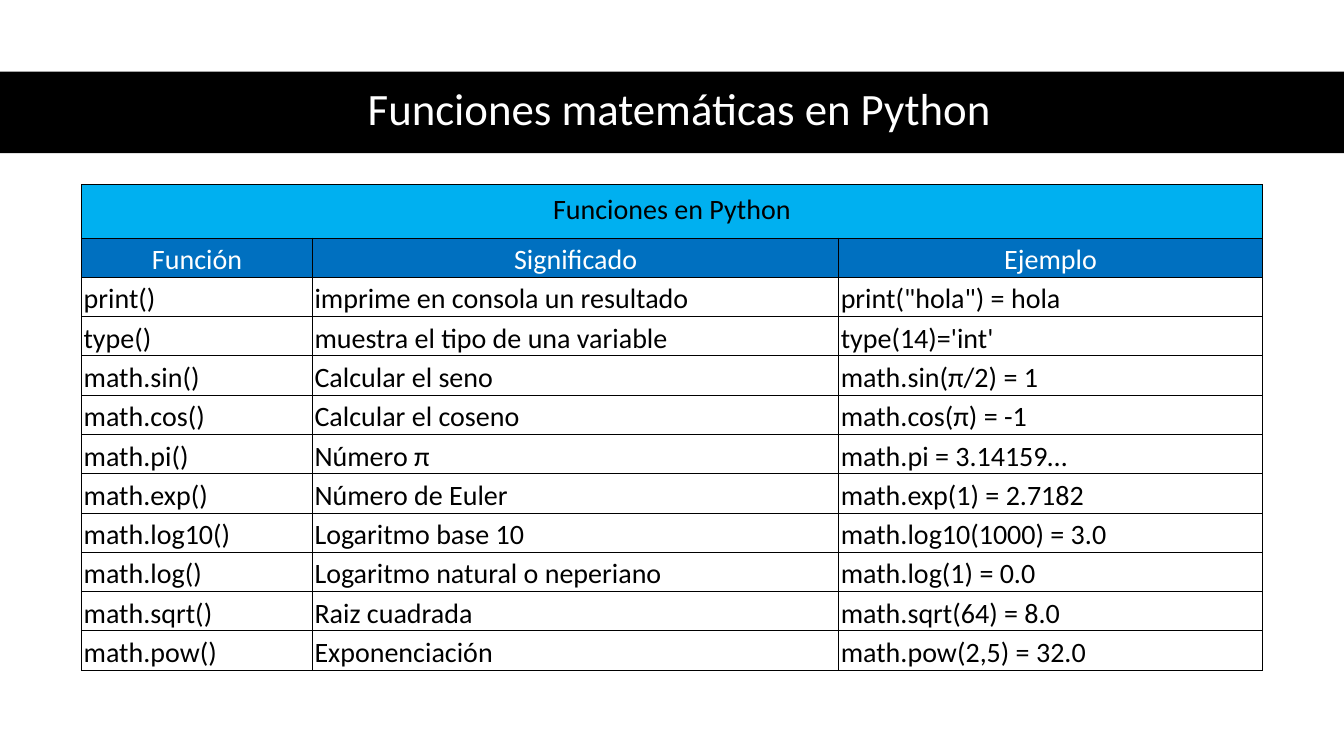
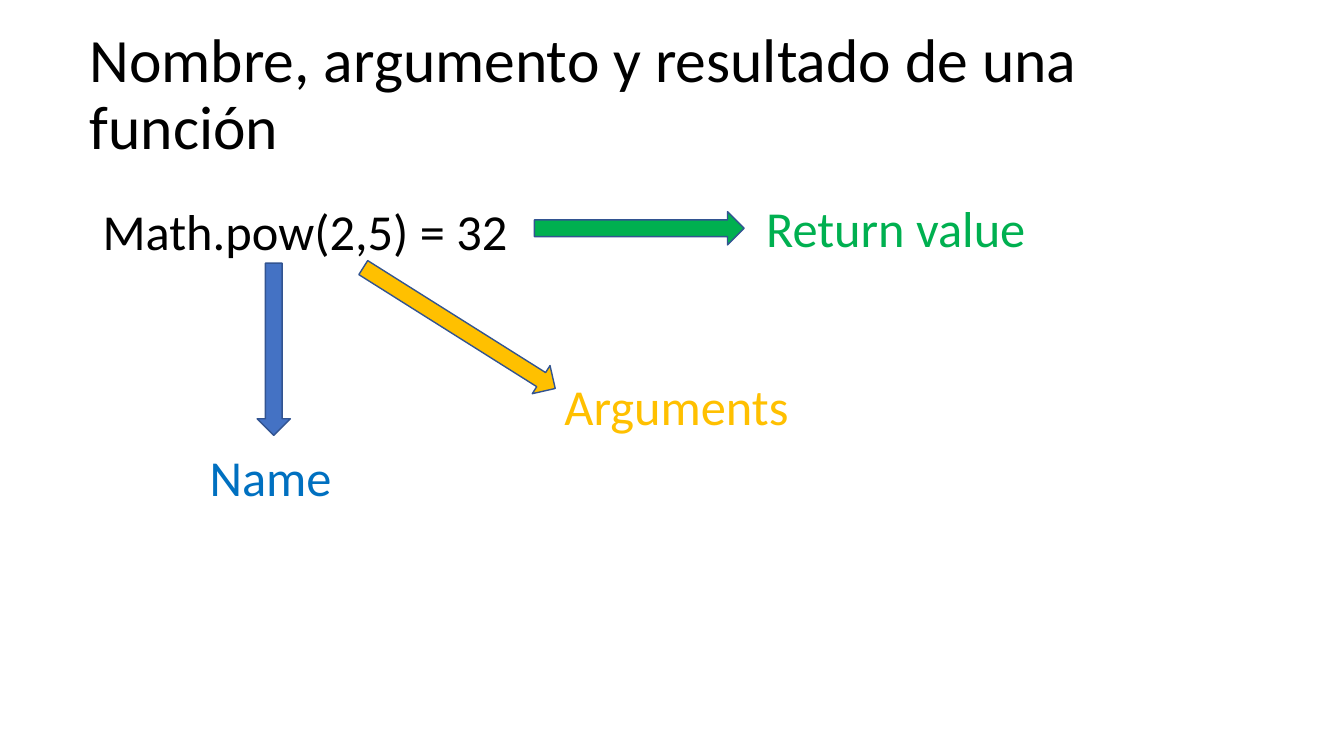
from lxml.etree import SubElement
from pptx import Presentation
from pptx.dml.color import RGBColor
from pptx.enum.shapes import MSO_SHAPE as SHAPE
from pptx.enum.text import MSO_ANCHOR as ANCHOR, PP_ALIGN as ALIGN
from pptx.oxml.ns import qn
from pptx.util import Inches, Pt

FONT = "Calibri"
BLACK = RGBColor(0x00, 0x00, 0x00)
WHITE = RGBColor(0xFF, 0xFF, 0xFF)
SKY = RGBColor(0x00, 0xB0, 0xF0)
BLUE = RGBColor(0x00, 0x70, 0xC0)
ARROW_BLUE = RGBColor(0x44, 0x72, 0xC4)
GREEN = RGBColor(0x00, 0xB0, 0x50)
AMBER = RGBColor(0xFF, 0xC0, 0x00)
OUTLINE = RGBColor(0x32, 0x54, 0x91)

COLUMN_WIDTHS = (2.29, 5.22, 4.2)
CAPTION_HEIGHT, ROW_HEIGHT = 0.53, 0.39
CAPTION = "Funciones en Python"
HEADERS = ("Función", "Significado", "Ejemplo")
FUNCTIONS = (
    ("print()", "imprime en consola un resultado", 'print("hola") = hola'),
    ("type()", "muestra el tipo de una variable", "type(14)='int'"),
    ("math.sin()", "Calcular el seno", "math.sin(π/2) = 1"),
    ("math.cos()", "Calcular el coseno", "math.cos(π) = -1"),
    ("math.pi()", "Número π", "math.pi = 3.14159…"),
    ("math.exp()", "Número de Euler", "math.exp(1) = 2.7182"),
    ("math.log10()", "Logaritmo base 10", "math.log10(1000) = 3.0"),
    ("math.log()", "Logaritmo natural o neperiano", "math.log(1) = 0.0"),
    ("math.sqrt()", "Raiz cuadrada", "math.sqrt(64) = 8.0"),
    ("math.pow()", "Exponenciación", "math.pow(2,5) = 32.0"),
)
LABELS = (
    ("Name", (1.98, 4.38, 1.47, 0.71), BLUE),
    ("Arguments", (5.5, 3.67, 2.44, 0.71), AMBER),
    ("Return value", (7.5, 1.91, 2.8, 0.71), GREEN),
)
ARROWS = (
    ((5.3, 2.1, 2.08, 0.33), 0, GREEN),
    ((1.86, 3.3, 1.71, 0.33), 90, ARROW_BLUE),
    ((3.43, 3.09, 2.25, 0.33), 32.2, AMBER),
)


def box(at):
    """Convert a left, top, width, height tuple to lengths."""
    return [Inches(v) for v in at]


def write(tf, text, size, color, **paragraph):
    """Write one styled paragraph into a text frame."""
    p = tf.paragraphs[0]
    for name, value in paragraph.items():
        setattr(p, name, value)
    r = p.add_run()
    r.text = text
    for name, value in {"name": FONT, "size": Pt(size), "bold": False}.items():
        setattr(r.font, name, value)
    r.font.color.rgb = color


def add_text(s, text, at, size, color, anchor=ANCHOR.TOP, **paragraph):
    """Add a wrapping text box."""
    tf = s.shapes.add_textbox(*box(at)).text_frame
    tf.word_wrap = True
    tf.vertical_anchor = anchor
    write(tf, text, size, color, **paragraph)


def add_title(s, text, at, size, color, align=ALIGN.LEFT):
    """Add a slide title in the shared title style."""
    add_text(s, text, at, size, color, ANCHOR.MIDDLE, alignment=align, line_spacing=0.9)


def add_filled(s, kind, at, fill, line=None, rotation=0):
    """Add a filled preset shape with an optional outline."""
    sp = s.shapes.add_shape(kind, *box(at))
    sp.shadow.inherit = False
    sp.rotation = rotation
    sp.fill.solid()
    sp.fill.fore_color.rgb = fill
    if line is None:
        sp.line.fill.background()
    else:
        sp.line.color.rgb = line
        sp.line.width = Pt(1)


def add_borders(cell):
    """Draw thin black borders on all four sides of a cell."""
    tc_pr = cell._tc.get_or_add_tcPr()
    for side in ("a:lnL", "a:lnR", "a:lnT", "a:lnB"):
        ln = SubElement(tc_pr, qn(side), w=str(Pt(0.5)))
        fill = SubElement(ln, qn("a:solidFill"))
        SubElement(fill, qn("a:srgbClr"), val=str(BLACK))


def fill_cell(cell, text, fill, color, align, anchor, insets):
    """Set the fill, margins and text of a cell."""
    if fill is None:
        cell.fill.background()
    else:
        cell.fill.solid()
        cell.fill.fore_color.rgb = fill
    cell.vertical_anchor = anchor
    for side, inset in zip(("left", "top", "right", "bottom"), insets):
        setattr(cell, f"margin_{side}", Inches(inset))
    write(cell.text_frame, text, 20, color, alignment=align)


def add_function_table(s):
    """Add the table with its caption, headers and function rows."""
    rows = (HEADERS, *FUNCTIONS)
    heights = [CAPTION_HEIGHT] + [ROW_HEIGHT] * len(rows)
    at = (0.81, 1.83, sum(COLUMN_WIDTHS), sum(heights))
    table = s.shapes.add_table(len(heights), len(HEADERS), *box(at)).table
    table.first_row = table.horz_banding = False
    for column, width in zip(table.columns, COLUMN_WIDTHS):
        column.width = Inches(width)
    for row, height in zip(table.rows, heights):
        row.height = Inches(height)
    for cell in table.iter_cells():
        add_borders(cell)
    caption = table.cell(0, 0)
    caption.merge(table.cell(0, len(HEADERS) - 1))
    fill_cell(caption, CAPTION, SKY, BLACK, ALIGN.CENTER, ANCHOR.TOP, (0.16, 0.08, 0.16, 0.08))
    for i, texts in enumerate(rows, 1):
        style = (BLUE, WHITE, ALIGN.CENTER) if i == 1 else (None, BLACK, ALIGN.LEFT)
        for j, text in enumerate(texts):
            fill_cell(table.cell(i, j), text, *style, ANCHOR.BOTTOM, (0.02, 0.02, 0.02, 0))


def build_functions_slide(s):
    """Build the slide that lists the functions."""
    add_filled(s, SHAPE.RECTANGLE, (0, 0.71, 13.33, 0.81), BLACK)
    add_title(s, "Funciones matemáticas en Python", (0.61, 0.7, 12.26, 0.81),
              32, WHITE, ALIGN.CENTER)
    add_function_table(s)


def build_parts_slide(s):
    """Build the slide that names the parts of a function call."""
    add_title(s, "Nombre, argumento y resultado de una función",
              (0.79, 0.23, 11.9, 1.45), 44, BLACK)
    add_text(s, "Math.pow(2,5) = 32", (0.92, 2, 11.5, 4.76), 36, BLACK,
             line_spacing=0.9, space_before=Pt(10))
    for text, at, color in LABELS:
        add_text(s, text, at, 36, color)
    for at, rotation, color in ARROWS:
        add_filled(s, SHAPE.RIGHT_ARROW, at, color, OUTLINE, rotation)


def main():
    """Build and save the presentation."""
    prs = Presentation()
    prs.slide_width, prs.slide_height = Inches(13.33), Inches(7.5)
    for build in (build_functions_slide, build_parts_slide):
        build(prs.slides.add_slide(prs.slide_layouts[6]))
    prs.save("out.pptx")


main()
